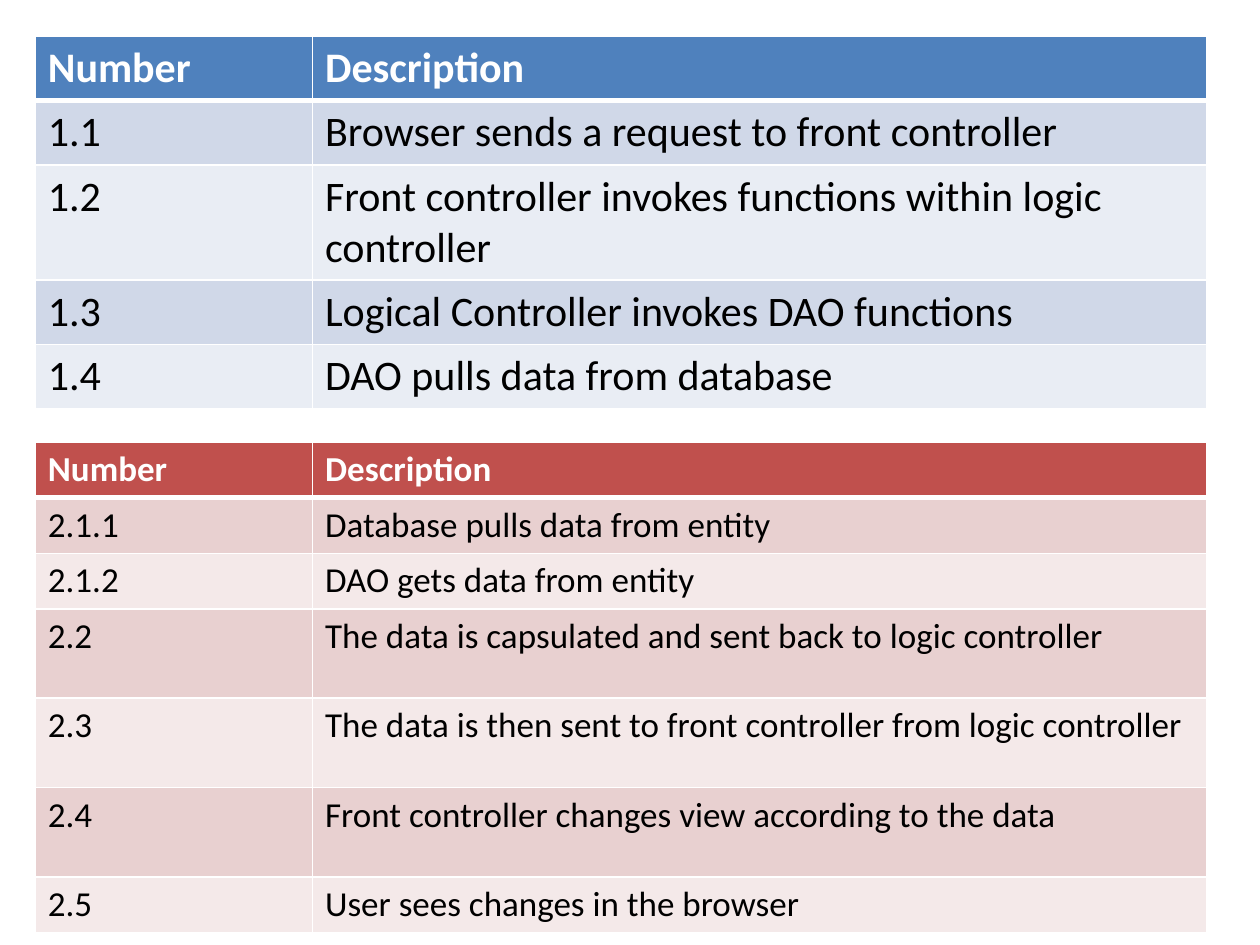
from lxml import etree
from pptx import Presentation
from pptx.dml.color import RGBColor
from pptx.oxml.ns import qn
from pptx.util import Inches, Pt

FONT = "Calibri"
WHITE, BLACK = "FFFFFF", "000000"
LEFT = 0.28
COLUMN_WIDTHS = (2.2, 7.1)
HEADER = ("Number", "Description")

REQUEST_STEPS = [
    ("1.1", "Browser sends a request to front controller"),
    ("1.2", "Front controller invokes functions within logic controller"),
    ("1.3", "Logical Controller invokes DAO functions"),
    ("1.4", "DAO pulls data from database"),
]
RESPONSE_STEPS = [
    ("2.1.1", "Database pulls data from entity"),
    ("2.1.2", "DAO gets data from entity"),
    ("2.2", "The data is capsulated and sent back to logic controller"),
    ("2.3", "The data is then sent to front controller from logic controller"),
    ("2.4", "Front controller changes view according to the data"),
    ("2.5", "User sees changes in the browser"),
]


def rgb(value):
    return RGBColor.from_string(value)


def set_borders(cell, top, bottom):
    """White borders; top and bottom widths are in points."""
    tc_pr = cell._tc.get_or_add_tcPr()
    for side, width in (("L", 1), ("R", 1), ("T", top), ("B", bottom)):
        ln = etree.SubElement(tc_pr, qn(f"a:ln{side}"), w=str(Pt(width)))
        fill = etree.SubElement(ln, qn("a:solidFill"))
        etree.SubElement(fill, qn("a:srgbClr"), val=WHITE)


def format_cell(cell, text, size, fill, row):
    is_header = row == 0
    cell.text = text
    font = cell.text_frame.paragraphs[0].font
    font.name = FONT
    font.size = Pt(size)
    font.bold = is_header
    font.color.rgb = rgb(WHITE if is_header else BLACK)
    # The rule below the header is heavier than the others
    set_borders(cell, 3 if row == 1 else 1, 3 if is_header else 1)
    cell.fill.solid()
    cell.fill.fore_color.rgb = rgb(fill)


def add_step_table(slide, top, steps, row_heights, size, header_fill, bands):
    rows = [HEADER] + steps
    frame = slide.shapes.add_table(
        len(rows), len(HEADER), Inches(LEFT), Inches(top),
        Inches(sum(COLUMN_WIDTHS)), Inches(sum(row_heights)))
    table = frame.table
    for column, width in zip(table.columns, COLUMN_WIDTHS):
        column.width = Inches(width)
    for i, (texts, height) in enumerate(zip(rows, row_heights)):
        table.rows[i].height = Inches(height)
        fill = bands[(i - 1) % 2] if i else header_fill
        for j, text in enumerate(texts):
            format_cell(table.cell(i, j), text, size, fill, i)


def main():
    prs = Presentation()
    prs.slide_width, prs.slide_height = Inches(10), Inches(7.5)
    slide = prs.slides.add_slide(prs.slide_layouts[6])

    # Request steps
    add_step_table(slide, 0.29, REQUEST_STEPS,
                   (0.51, 0.51, 0.88, 0.51, 0.51), 24,
                   "4F81BD", ("D0D8E8", "E9EDF4"))
    # Response steps
    add_step_table(slide, 3.51, RESPONSE_STEPS,
                   (0.41, 0.41, 0.41, 0.71, 0.71, 0.71, 0.41), 20,
                   "C0504D", ("E8D0D0", "F4E9E9"))

    prs.save("out.pptx")


main()
